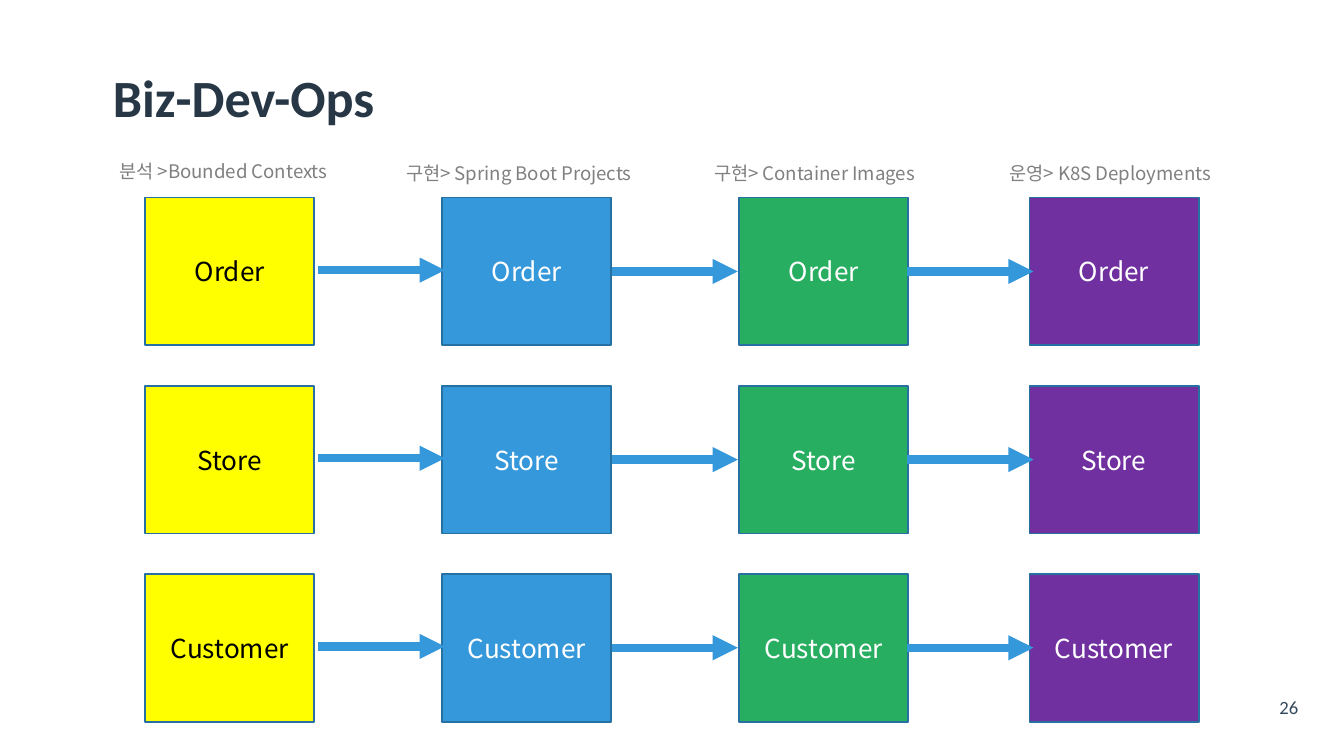
from dataclasses import dataclass

from lxml import etree
from pptx import Presentation
from pptx.dml.color import RGBColor
from pptx.enum.shapes import MSO_CONNECTOR, MSO_SHAPE
from pptx.enum.text import MSO_ANCHOR, MSO_AUTO_SIZE, PP_ALIGN
from pptx.oxml.ns import qn
from pptx.slide import Slide
from pptx.text.text import TextFrame
from pptx.util import Inches, Pt

RECT, ROUND_RECT = MSO_SHAPE.RECTANGLE, MSO_SHAPE.ROUNDED_RECTANGLE
STRAIGHT = MSO_CONNECTOR.STRAIGHT
TOP, MIDDLE = MSO_ANCHOR.TOP, MSO_ANCHOR.MIDDLE
LEFT, CENTER = PP_ALIGN.LEFT, PP_ALIGN.CENTER
NO_FIT, GROW = MSO_AUTO_SIZE.NONE, MSO_AUTO_SIZE.SHAPE_TO_FIT_TEXT

BODY_FONT, HEAD_FONT = "Noto Sans CJK KR", "Calibri"
BLUE, OUTLINE, GRAY = "3498DB", "2670A2", "808080"

SERVICES = ["Order", "Store", "Customer"]
ROW_TOP, ROW_PITCH = 1.47, 1.4
BOX_W, BOX_H = 1.26, 1.1
LABEL_TOP, LABEL_H = 1.04, 4.45
ARROW_LEN = 0.94


@dataclass
class Stage:
    label: str
    label_left: float
    label_width: float
    box_left: float
    fill: str
    color: str = "FFFFFF"
    align: PP_ALIGN = CENTER


@dataclass
class ArrowColumn:
    left: float
    offset: float  # distance below the top of the row


STAGES = [
    Stage("분석 >Bounded Contexts", 0.69, 2.05, 1.08, "FFFF00", "000000", LEFT),
    Stage("구현> Spring Boot Projects", 2.72, 2.28, 3.29, BLUE),
    Stage("구현> Container Images", 4.92, 2.28, 5.5, "27AE60"),
    Stage("운영> K8S Deployments", 7.12, 2.28, 7.66, "7030A0"),
]
ARROWS = [ArrowColumn(2.37, 0.54), ArrowColumn(4.55, 0.55), ArrowColumn(6.75, 0.55)]


def rgb(value: str) -> RGBColor:
    return RGBColor.from_string(value)


def write(tf: TextFrame, text: str, size: float, color: str, font: str,
          align: PP_ALIGN = LEFT, anchor: MSO_ANCHOR = TOP,
          spacing: float = 1.0, bold: bool = False) -> None:
    tf.word_wrap = True
    tf.vertical_anchor = anchor
    p = tf.paragraphs[0]
    p.alignment = align
    p.line_spacing = spacing
    r = p.add_run()
    r.text = text
    r.font.name = font
    r.font.size = Pt(size)
    r.font.bold = bold
    r.font.color.rgb = rgb(color)
    # East Asian glyphs need their own typeface entry
    ea = etree.SubElement(r.font._element, qn("a:ea"))
    ea.set("typeface", font)


def add_label(s: Slide, stage: Stage) -> None:
    sp = s.shapes.add_shape(ROUND_RECT, Inches(stage.label_left), Inches(LABEL_TOP),
                            Inches(stage.label_width), Inches(LABEL_H))
    sp.shadow.inherit = False
    sp.fill.background()
    sp.line.fill.background()
    write(sp.text_frame, stage.label, 10, GRAY, BODY_FONT, stage.align)


def add_box(s: Slide, stage: Stage, service: str, top: float) -> None:
    sp = s.shapes.add_shape(RECT, Inches(stage.box_left), Inches(top),
                            Inches(BOX_W), Inches(BOX_H))
    sp.shadow.inherit = False
    sp.fill.solid()
    sp.fill.fore_color.rgb = rgb(stage.fill)
    sp.line.color.rgb = rgb(OUTLINE)
    sp.line.width = Pt(1)
    write(sp.text_frame, service, 14, stage.color, BODY_FONT, CENTER, MIDDLE)


def add_arrow(s: Slide, left: float, y: float) -> None:
    cxn = s.shapes.add_connector(STRAIGHT, Inches(left), Inches(y),
                                 Inches(left + ARROW_LEN), Inches(y))
    cxn.line.color.rgb = rgb(BLUE)
    cxn.line.width = Pt(4.5)
    etree.SubElement(cxn.line._get_or_add_ln(), qn("a:tailEnd")).set("type", "triangle")
    etree.SubElement(cxn._element.spPr, qn("a:effectLst"))


def main() -> None:
    prs = Presentation()
    prs.slide_width = Inches(10)
    prs.slide_height = prs.slide_width * 9 // 16
    s = prs.slides.add_slide(prs.slide_layouts[5])

    # Title
    title = s.shapes.title
    title.left, title.top = Inches(0.74), Inches(0.45)
    title.width, title.height = Inches(8.57), Inches(0.6)
    title.text_frame.auto_size = NO_FIT
    write(title.text_frame, "Biz-Dev-Ops", 28, "273746", HEAD_FONT,
          anchor=MIDDLE, spacing=0.9, bold=True)

    # Stage columns: one label and one box per service
    row_tops = [ROW_TOP + i * ROW_PITCH for i in range(len(SERVICES))]
    for stage in STAGES:
        add_label(s, stage)
        for service, top in zip(SERVICES, row_tops):
            add_box(s, stage, service, top)

    # Arrows between the stages
    for column in ARROWS:
        for top in row_tops:
            add_arrow(s, column.left, top + column.offset)

    # Slide number
    number = s.shapes.add_textbox(Inches(9.31), Inches(5.21), Inches(0.56), Inches(0.26))
    tf = number.text_frame
    tf.margin_left = tf.margin_right = Inches(0.15)
    tf.margin_top = tf.margin_bottom = Inches(0.07)
    tf.auto_size = GROW
    write(tf, "26", 10, "34495E", HEAD_FONT, CENTER, spacing=0.5)

    prs.save("out.pptx")


if __name__ == "__main__":
    main()
